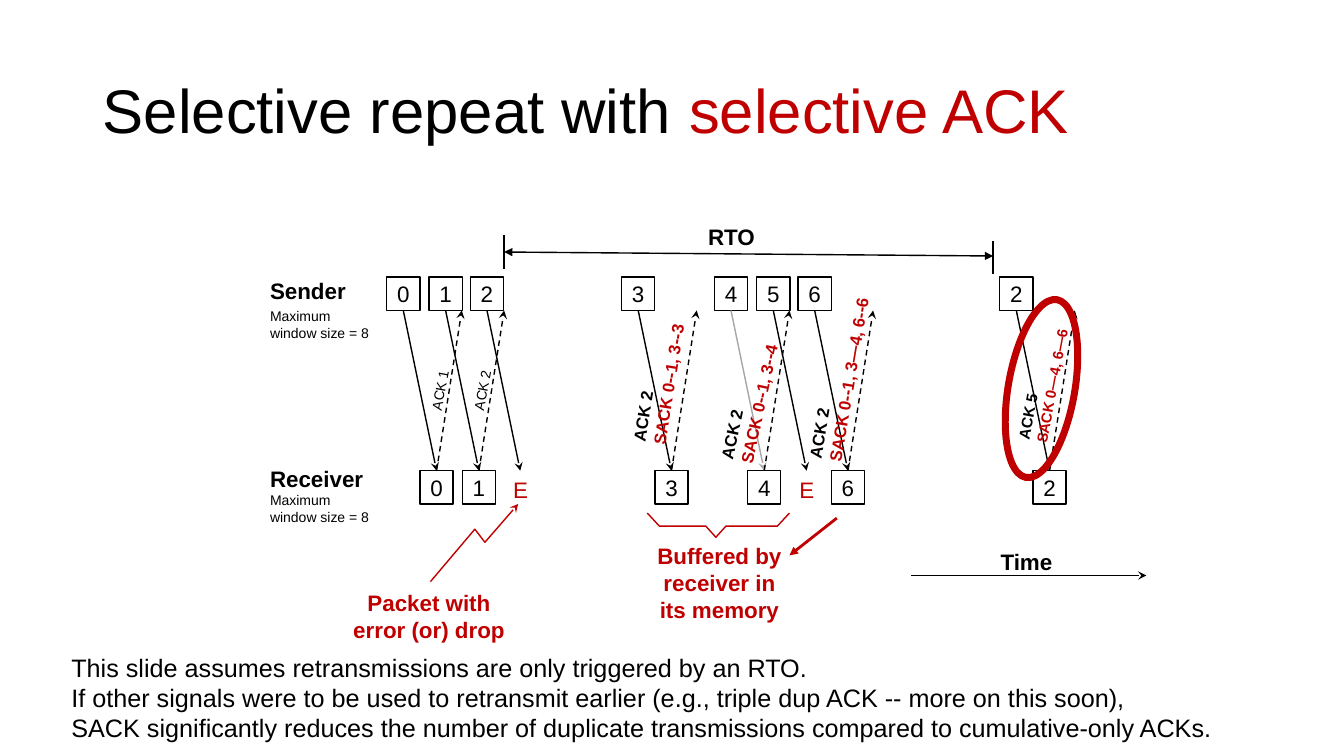
from dataclasses import dataclass
from lxml.etree import SubElement
from pptx import Presentation
from pptx.dml.color import RGBColor
from pptx.enum.dml import MSO_LINE
from pptx.enum.shapes import MSO_CONNECTOR, MSO_SHAPE
from pptx.enum.text import MSO_ANCHOR, MSO_AUTO_SIZE, PP_ALIGN
from pptx.oxml.ns import qn
from pptx.util import Inches, Pt


@dataclass
class Theme:
    font: str = "Arial"
    black: RGBColor = RGBColor(0, 0, 0)
    white: RGBColor = RGBColor(255, 255, 255)
    red: RGBColor = RGBColor(192, 0, 0)
    gray: RGBColor = RGBColor(166, 166, 166)
    title: float = 44
    note: float = 18
    label: float = 16
    sack: float = 12
    small: float = 10


theme = Theme()
LEFT, MID = PP_ALIGN.LEFT, PP_ALIGN.CENTER


def write(shape, text, size, color, bold=False, align=LEFT, wrap=False):
    frame = shape.text_frame
    frame.text = text
    frame.word_wrap = wrap
    for para in frame.paragraphs:
        para.alignment = align
        for run in para.runs:
            font = run.font
            font.name, font.size, font.bold = theme.font, Pt(size), bold
            font.color.rgb = color


def stroke(shape, color, width=1, tail=None, head=None, dash=False):
    shape.line.color.rgb = color
    shape.line.width = Pt(width)
    if dash:
        shape.line.dash_style = MSO_LINE.DASH
    props = shape.element.spPr
    line = props.find(qn("a:ln"))
    for tag, kind in (("a:headEnd", head), ("a:tailEnd", tail)):
        if kind:
            SubElement(line, qn(tag)).set("type", kind)
    SubElement(props, qn("a:effectLst"))


deck = Presentation()
deck.slide_width, deck.slide_height = Inches(13.33), Inches(7.5)
slide = deck.slides.add_slide(deck.slide_layouts[5])
shapes = slide.shapes

# Title
title = shapes.title
title.left, title.top = Inches(0.92), Inches(0.4)
title.width, title.height = Inches(11.5), Inches(1.45)
write(title, "Selective repeat with ", theme.title, theme.black, wrap=True)
title.text_frame.vertical_anchor = MSO_ANCHOR.MIDDLE
para = title.text_frame.paragraphs[0]
para.line_spacing = 0.9
run = para.add_run()
run.text = "selective ACK"
run.font.name, run.font.size = theme.font, Pt(theme.title)
run.font.color.rgb = theme.red

# Packets: number, centre at sender, arrives, arrow colour
side, send_y, get_y = 0.33, 2.75, 4.67
shift, back = 0.33, 0.58
packets = [
    ("0", 4, True, theme.black), ("1", 4.42, True, theme.black),
    ("2", 4.83, False, theme.black), ("3", 6.33, True, theme.black),
    ("4", 7.25, True, theme.gray), ("5", 7.67, False, theme.black),
    ("6", 8.08, True, theme.black), ("2", 10.08, True, theme.black),
]
for number, mid, arrives, color in packets:
    spots = [(mid, send_y)]
    if arrives:
        spots.append((mid + shift, get_y))
    boxes = []
    for x, y in spots:
        box = shapes.add_shape(MSO_SHAPE.RECTANGLE, Inches(x - side / 2),
                               Inches(y), Inches(side), Inches(side))
        box.fill.solid()
        box.fill.fore_color.rgb = theme.white
        stroke(box, theme.black)
        write(box, number, theme.label, theme.black, align=MID)
        box.text_frame.vertical_anchor = MSO_ANCHOR.MIDDLE
        boxes.append(box)

    sent = shapes.add_connector(
        MSO_CONNECTOR.STRAIGHT, Inches(mid), Inches(send_y + side),
        Inches(mid + shift), Inches(get_y))
    sent.begin_connect(boxes[0], 2)
    stroke(sent, color, tail="stealth")
    if arrives:
        sent.end_connect(boxes[1], 0)
        reply = shapes.add_connector(
            MSO_CONNECTOR.STRAIGHT, Inches(mid + shift), Inches(get_y),
            Inches(mid + back), Inches(send_y + side))
        reply.begin_connect(boxes[1], 0)
        stroke(reply, theme.black, tail="stealth", dash=True)
    else:
        error = shapes.add_textbox(Inches(mid + shift - 0.17), Inches(get_y),
                                   Inches(0.35), Inches(0.37))
        write(error, "E", theme.label, theme.red)

# Timeout span, time axis and pointer to packet 6
for x1, y1, x2, y2, color, width, head, tail in [
    (5, 2.5, 9.85, 2.54, theme.black, 1, "triangle", "triangle"),
    (5, 2.33, 5, 2.67, theme.black, 1, None, None),
    (9.85, 2.39, 9.85, 2.72, theme.black, 1, None, None),
    (9.04, 5.71, 11.37, 5.71, theme.black, 1, None, "stealth"),
    (8.3, 5.14, 7.83, 5.51, theme.red, 2, None, "triangle"),
]:
    line = shapes.add_connector(MSO_CONNECTOR.STRAIGHT, Inches(x1), Inches(y1),
                                Inches(x2), Inches(y2))
    stroke(line, color, width, tail, head)

# Buffer brace and error pointer
brace = [(6.42, 5.09), (6.54, 5.22), (7, 5.22), (7.1, 5.33),
         (7.2, 5.22), (7.71, 5.22), (7.83, 5.09)]
zigzag = [(4.27, 5.77), (4.71, 5.25), (4.81, 5.38), (5.14, 5)]
for points, tail in ((brace, None), (zigzag, "stealth")):
    spots = [(Inches(x), Inches(y)) for x, y in points]
    pen = shapes.build_freeform(*spots[0])
    pen.add_line_segments(spots[1:], close=False)
    shape = pen.convert_to_shape()
    shape.fill.background()
    stroke(shape, theme.red, tail=tail)

# Labels
window = "Maximum\nwindow size = 8"
for x, y, wide, high, text, size, color, bold, align in [
    (6.92, 2.16, 0.67, 0.37, "RTO", theme.label, theme.black, True, MID),
    (9.82, 5.39, 0.72, 0.37, "Time", theme.label, theme.black, True, MID),
    (2.58, 2.7, 0.95, 0.37, "Sender", theme.label, theme.black, True, LEFT),
    (2.58, 4.57, 1.13, 0.37, "Receiver", theme.label, theme.black, True, LEFT),
    (2.58, 3, 1.18, 0.43, window, theme.small, theme.black, False, LEFT),
    (2.58, 4.83, 1.18, 0.43, window, theme.small, theme.black, False, LEFT),
    (6.41, 5.33, 1.45, 0.91, "Buffered by\nreceiver in\nits memory",
     theme.label, theme.red, True, MID),
    (3.39, 5.8, 1.73, 0.64, "Packet with\nerror (or) drop",
     theme.label, theme.red, True, MID),
]:
    label = shapes.add_textbox(Inches(x), Inches(y), Inches(wide), Inches(high))
    write(label, text, size, color, bold, align)
    label.text_frame.auto_size = MSO_AUTO_SIZE.SHAPE_TO_FIT_TEXT

# Slanted acknowledgements
for x, y, wide, high, turn, text, sizes, wrap in [
    (4.06, 3.73, 0.61, 0.27, 280.6, "ACK 1", [theme.small], False),
    (4.48, 3.73, 0.61, 0.27, 280.6, "ACK 2", [theme.small], False),
    (5.78, 3.48, 1.53, 0.51, 279.1, "ACK 2\nSACK 0--1, 3--3",
     [theme.sack] * 2, True),
    (6.52, 3.47, 1.94, 0.51, 282.1, "ACK 2\nSACK 0--1, 3--4",
     [theme.sack] * 2, True),
    (7.36, 3.45, 1.94, 0.51, 279.6, "ACK 2\nSACK 0--1, 3—4, 6--6",
     [theme.sack] * 2, True),
    (9.66, 3.57, 1.37, 0.46, 280.6, "ACK 5\nSACK 0—4, 6—6", [11, 10.5], False),
]:
    ack = shapes.add_textbox(Inches(x), Inches(y), Inches(wide), Inches(high))
    ack.rotation = turn
    write(ack, text, sizes[0], theme.black, len(sizes) > 1, wrap=wrap)
    ack.text_frame.auto_size = MSO_AUTO_SIZE.SHAPE_TO_FIT_TEXT
    for para in ack.text_frame.paragraphs[1:]:
        para.runs[0].font.size = Pt(sizes[1])
        para.runs[0].font.color.rgb = theme.red

# Ring around the last acknowledgement
ring = shapes.add_shape(MSO_SHAPE.OVAL, Inches(10), Inches(2.96),
                        Inches(0.66), Inches(1.79))
ring.rotation = 9.9
ring.fill.background()
stroke(ring, theme.red, 5)

# Note
note = shapes.add_textbox(Inches(0.61), Inches(6.42), Inches(11.8), Inches(1.01))
write(note, "This slide assumes retransmissions are only triggered by an RTO.\n"
      "If other signals were to be used to retransmit earlier "
      "(e.g., triple dup ACK -- more on this soon),\n"
      "SACK significantly reduces the number of duplicate transmissions "
      "compared to cumulative-only ACKs.", theme.note, theme.black, wrap=True)

deck.save("out.pptx")
